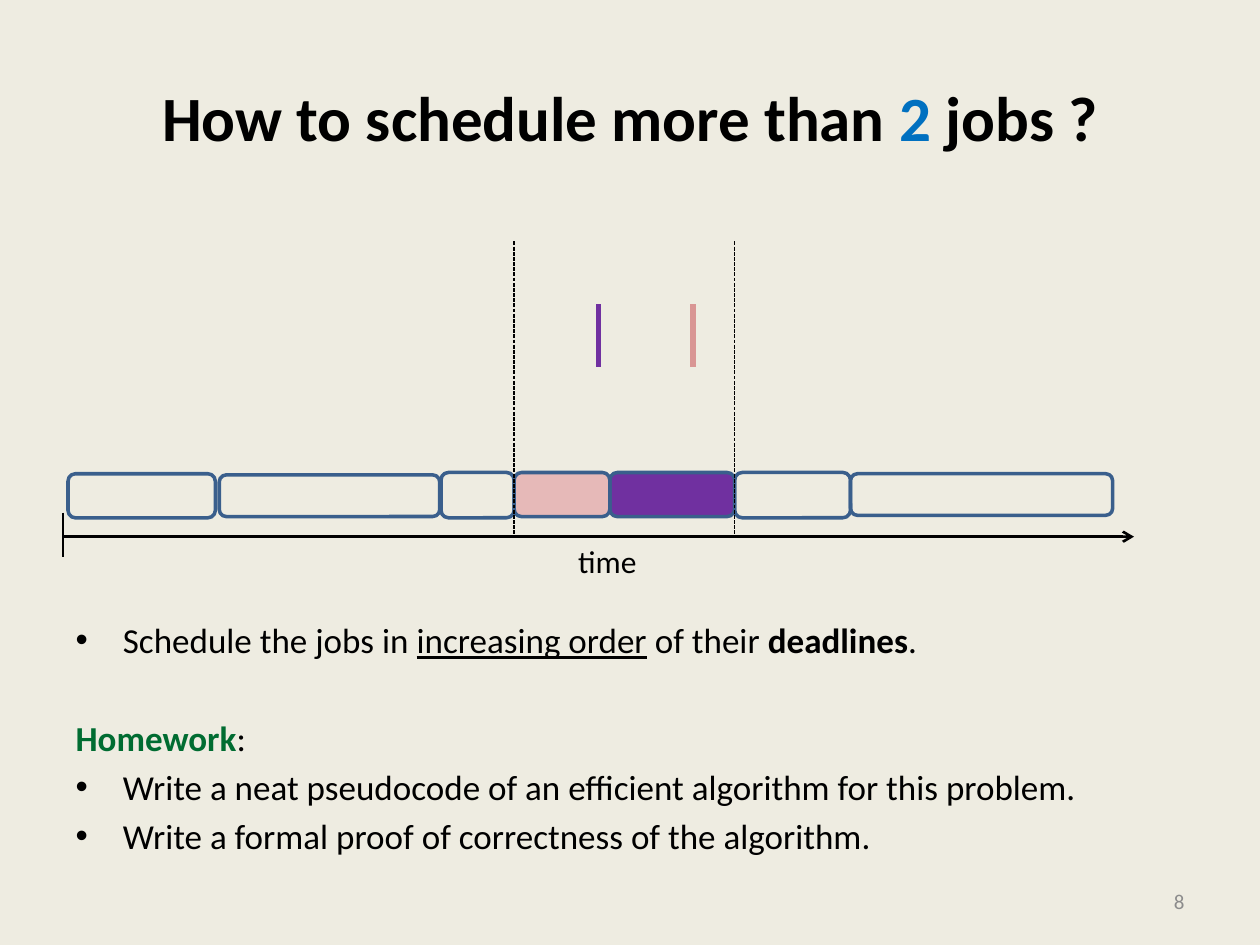
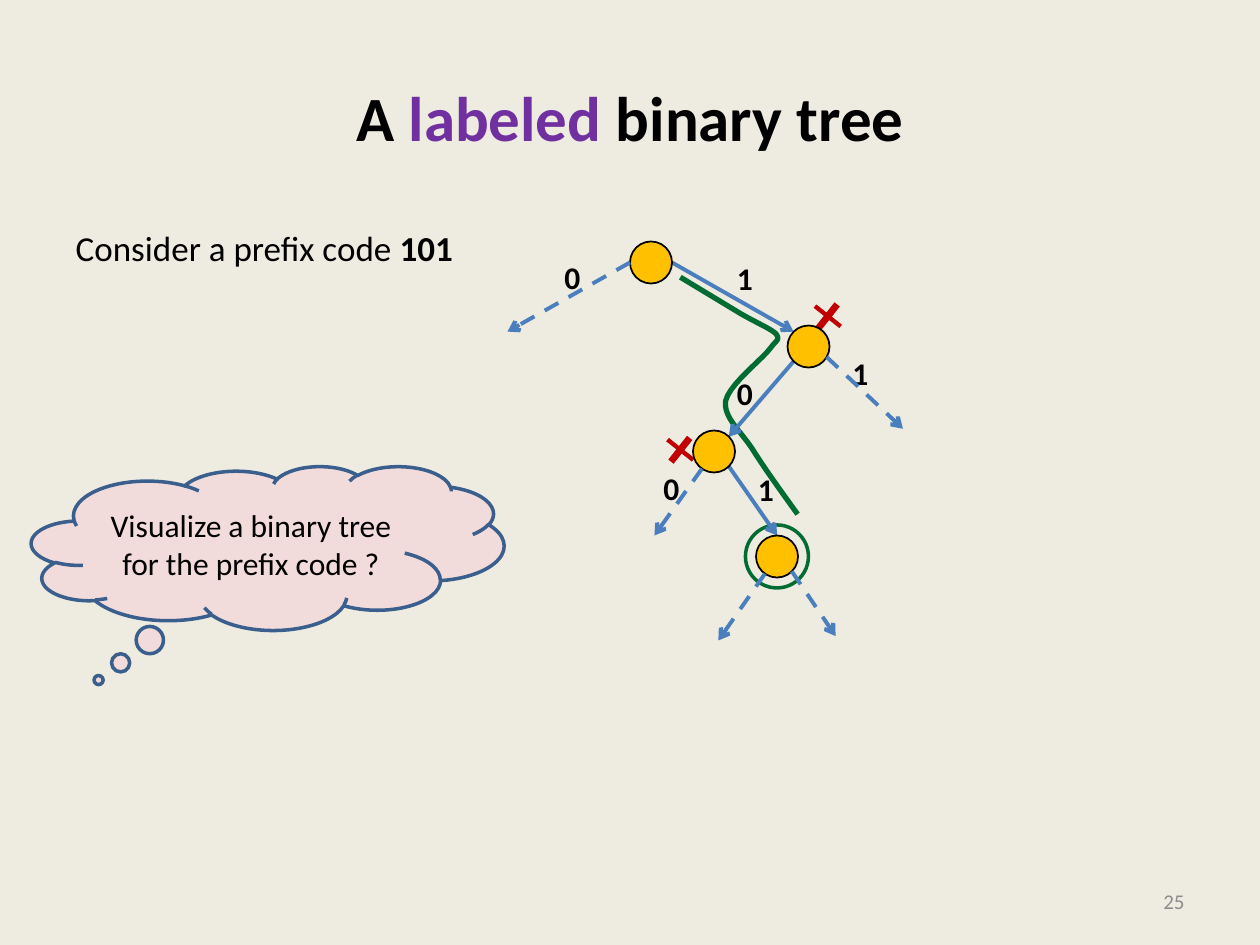
"""Two lecture slides: scheduling jobs on a timeline, and a labeled binary tree."""
import math

from pptx import Presentation
from pptx.dml.color import RGBColor
from pptx.enum import dml, shapes, text
from pptx.oxml.ns import qn
from pptx.util import Pt
from lxml import etree

BACKGROUND = RGBColor(0xEE, 0xEC, 0xE1)
BLACK = RGBColor(0, 0, 0)
GREY = RGBColor(0x8C, 0x8C, 0x8C)
BLUE = RGBColor(0x00, 0x70, 0xC0)
OUTLINE = RGBColor(0x3A, 0x5F, 0x8C)
EDGE = RGBColor(0x4B, 0x7E, 0xBC)
PURPLE = RGBColor(0x70, 0x30, 0xA0)
GREEN = RGBColor(0x00, 0x6C, 0x31)
RED = RGBColor(0xC0, 0, 0)
GOLD = RGBColor(0xFF, 0xC0, 0)
PINK = RGBColor(0xE6, 0xB9, 0xB8)
DARK_PINK = RGBColor(0xD9, 0x96, 0x94)
PALE_PINK = RGBColor(0xF2, 0xDC, 0xDB)
FONT = "Calibri"
DASH = dml.MSO_LINE.DASH
NODE = 24  # diameter of a tree node


def style(r, size, color=BLACK, bold=False, underline=False):
    """Format one run."""
    f = r.font
    f.name, f.size, f.bold, f.underline = FONT, Pt(size), bold, underline
    f.color.rgb = color


def write(p, size, *parts):
    """Fill a paragraph with (text, format) parts."""
    for words, fmt in parts:
        r = p.add_run()
        r.text = words
        style(r, size, **fmt)


def place(sp, x, y, w, h):
    """Move and size a shape."""
    sp.left, sp.top, sp.width, sp.height = Pt(x), Pt(y), Pt(w), Pt(h)


def label(s, x, y, w, h, words, size=18, color=BLACK, bold=False, wrap=False):
    """Add a text box with one line of text and return it."""
    sp = s.shapes.add_textbox(Pt(x), Pt(y), Pt(w), Pt(h))
    tf = sp.text_frame
    tf.word_wrap = wrap
    tf.text = words
    style(tf.paragraphs[0].runs[0], size, color, bold)
    return sp


def paint(sp, fill=None, line=None, width=2):
    """Set a shape's fill and line; None leaves either out."""
    sp.shadow.inherit = False
    if fill is None:
        sp.fill.background()
    else:
        sp.fill.solid()
        sp.fill.fore_color.rgb = fill
    if line is None:
        sp.line.fill.background()
    else:
        sp.line.color.rgb = line
        sp.line.width = Pt(width)


def shape(s, kind, x, y, w, h, fill=None, line=None, width=2):
    """Add a painted preset shape."""
    sp = s.shapes.add_shape(kind, Pt(x), Pt(y), Pt(w), Pt(h))
    paint(sp, fill, line, width)
    return sp


def connect(s, start, end, color, width, dash=None, arrow=False):
    """Draw a straight line, optionally dashed or with an arrowhead."""
    c = s.shapes.add_connector(shapes.MSO_CONNECTOR.STRAIGHT,
                               *(Pt(v) for v in (*start, *end)))
    c.line.color.rgb = color
    c.line.width = Pt(width)
    if dash:
        c.line.dash_style = dash
    sp_pr = c._element.spPr
    if arrow:
        etree.SubElement(sp_pr.find(qn("a:ln")), qn("a:tailEnd"), type="arrow")
    etree.SubElement(sp_pr, qn("a:effectLst"))


def new_slide(prs, number, *title):
    """Add a slide with its title and page number."""
    s = prs.slides.add_slide(prs.slide_layouts[1])
    place(s.shapes.title, 36, 21.6, 648, 90)
    tf = s.shapes.title.text_frame
    tf.auto_size = text.MSO_AUTO_SIZE.NONE
    tf.vertical_anchor = text.MSO_ANCHOR.MIDDLE
    write(tf.paragraphs[0], 36, *title)
    sp = label(s, 516, 500.5, 168, 28.8, str(number), 12, GREY, wrap=True)
    sp.text_frame.vertical_anchor = text.MSO_ANCHOR.MIDDLE
    sp.text_frame.paragraphs[0].alignment = text.PP_ALIGN.RIGHT
    return s


def body(s, box, *paragraphs):
    """Fill the body placeholder with (bulleted, space before, parts) paragraphs."""
    sp = s.placeholders[1]
    place(sp, *box)
    tf = sp.text_frame
    tf.auto_size = text.MSO_AUTO_SIZE.NONE
    for i, (bulleted, before, parts) in enumerate(paragraphs):
        p = tf.add_paragraph() if i else tf.paragraphs[0]
        p.space_before = Pt(before)
        if not bulleted:
            p_pr = p._p.get_or_add_pPr()
            p_pr.set("marL", "0")
            p_pr.set("indent", "0")
            etree.SubElement(p_pr, qn("a:buNone"))
        write(p, 20, *parts)


def timeline(s, x, y, w):
    """Draw the job row, its time axis, the two guides and the two deadlines."""
    jobs = [  # left, top, width, height, fill
        (2.9, 132.7, 84.2, 25.2, None),
        (89.3, 133.4, 126, 23.8, None),
        (216, 132, 41.8, 25.9, None),
        (312.5, 132, 71.3, 25.2, PURPLE),
        (257.8, 132, 54.7, 25.2, PINK),
        (383.8, 132, 66.2, 25.9, None),
        (450, 132.7, 149.8, 23.8, None),
    ]
    for left, top, width, height, fill in jobs:
        shape(s, shapes.MSO_SHAPE.ROUNDED_RECTANGLE,
              x + left, y + top, width, height, fill, OUTLINE)
    axis = y + 168.7
    for guide in (257.8, 383.8):
        connect(s, (x + guide, y), (x + guide, axis), BLACK, 0.75,
                dml.MSO_LINE.SQUARE_DOT)
    connect(s, (x, axis), (x + w, axis), BLACK, 1.5, arrow=True)
    connect(s, (x, y + 155), (x, y + 180.2), BLACK, 1.5)
    label(s, x + 287.3, y + 168, 48.2, 29, "time")
    for deadline, color in ((360, DARK_PINK), (306, PURPLE)):
        connect(s, (x + deadline, y + 36), (x + deadline, y + 72), color, 3)


def bezier(a, b, c, d, steps=10):
    """Return points along a cubic curve, without its start."""
    points = []
    for i in range(1, steps + 1):
        t = i / steps
        weights = ((1 - t) ** 3, 3 * t * (1 - t) ** 2, 3 * t * t * (1 - t), t ** 3)
        points.append(tuple(sum(k * q[n] for k, q in zip(weights, (a, b, c, d)))
                            for n in (0, 1)))
    return points


def code_path(s, x, y):
    """Draw the green curve that follows the code down the tree."""
    points = [(100.8, 20.4), (135.4, 41.3)]
    curves = [
        ((144, 46.3), (152.6, 49.9), (155.5, 52.8)),
        ((157.7, 56.4), (156.2, 55.7), (151.9, 61.4)),
        ((146.9, 67.9), (128.9, 81.6), (126.7, 91)),
        ((125.3, 100.3), (134.6, 107.5), (141.8, 118.3)),
        ((148.3, 129.1), (167.8, 155.8), (167.8, 155.8)),
    ]
    for curve in curves:
        points += bezier(points[-1], *curve)
    points = [(Pt(x + px), Pt(y + py)) for px, py in points]
    fb = s.shapes.build_freeform(*points[0])
    fb.add_line_segments(points[1:], close=False)
    paint(fb.convert_to_shape(), line=GREEN, width=3)


def tree(s, x, y):
    """Draw the labeled tree with its code path, crosses and ringed leaf."""
    nodes = {"leaf": (144, 168), "inner": (108, 108),
             "right": (162, 48), "root": (72, 0)}

    def rim(name, angle):
        """Return the point on a node's rim, clockwise from the right."""
        a, radius = math.radians(angle), NODE / 2
        left, top = nodes[name]
        return (x + left + radius * (1 + math.cos(a)),
                y + top + radius * (1 + math.sin(a)))

    code_path(s, x, y)
    left, top = nodes["leaf"]
    shape(s, shapes.MSO_SHAPE.OVAL, x + left - 6, y + top - 6,
          NODE + 12, NODE + 12, line=GREEN)
    for left, top in ((91.4, 110.4), (175.7, 34.1)):
        cross = shape(s, shapes.MSO_SHAPE.CROSS, x + left, y + top, 18.7, 17.3, RED)
        cross.adjustments[0] = 0.428
        cross.rotation = 38.3
    for left, top, bit in ((27.4, 6, "0"), (126, 6.7, "1"), (126, 72.2, "0"),
                           (84, 126.2, "0"), (192, 60.7, "1"), (138, 127, "1")):
        label(s, x + left, y + top, 23.8, 29, bit, bold=True)

    for start, end in ((("root", 0), ("right", 225)),
                       (("right", 135), ("inner", 315)),
                       (("inner", 45), ("leaf", 270))):
        connect(s, rim(*start), rim(*end), EDGE, 2.25, arrow=True)
    for name, (left, top) in nodes.items():
        shape(s, shapes.MSO_SHAPE.OVAL, x + left, y + top, NODE, NODE, GOLD, BLACK, 1)
    for name, angle, (ex, ey) in (("root", 180, (2, 51.5)),
                                  ("inner", 125, (86, 168)),
                                  ("right", 30, (228, 107)),
                                  ("leaf", 45, (189.5, 225.5)),
                                  ("leaf", 125, (122.5, 228))):
        connect(s, rim(name, angle), (x + ex, y + ey), EDGE, 2.25, DASH, True)


def thought(s, x, y, w, h, words):
    """Add a thought cloud."""
    sp = shape(s, shapes.MSO_SHAPE.CLOUD_CALLOUT, x, y, w, h, PALE_PINK, OUTLINE)
    sp.adjustments[0], sp.adjustments[1] = -0.358, 0.806
    tf = sp.text_frame
    tf.word_wrap = True
    tf.vertical_anchor = text.MSO_ANCHOR.MIDDLE
    tf.text = words
    p = tf.paragraphs[0]
    p.alignment = text.PP_ALIGN.CENTER
    style(p.runs[0], 18)


def scheduling_slide(prs):
    """Build the slide on scheduling several jobs."""
    s = new_slide(prs, 8, ("How to schedule more than ", {"bold": True}),
                  ("2", {"bold": True, "color": BLUE}),
                  (" jobs ?", {"bold": True}))
    body(s, (36, 350, 648, 146),
         (True, 4, [("Schedule the jobs in ", {}),
                    ("increasing order", {"underline": True}),
                    (" of their ", {}), ("deadlines", {"bold": True}), (".", {})]),
         (False, 32, [("Homework", {"bold": True, "color": GREEN}), (": ", {})]),
         (True, 4, [("Write a neat pseudocode of an efficient algorithm "
                     "for this problem.", {})]),
         (True, 4, [("Write a formal proof of correctness of the algorithm.", {})]))
    timeline(s, 36, 138, 612)


def tree_slide(prs):
    """Build the slide on the labeled binary tree."""
    s = new_slide(prs, 25, ("A ", {"bold": True}),
                  ("labeled", {"bold": True, "color": PURPLE}),
                  (" binary tree", {"bold": True}))
    body(s, (36, 126, 648, 356.4),
         (False, 4, [("Consider a prefix code ", {}), ("101", {"bold": True})]))
    tree(s, 288, 138)
    thought(s, 18, 266.4, 270, 93.6, "Visualize a binary tree for the prefix code ?")


prs = Presentation()
prs.slide_width, prs.slide_height = Pt(720), Pt(540)
background = prs.slide_master.background.fill
background.solid()
background.fore_color.rgb = BACKGROUND
scheduling_slide(prs)
tree_slide(prs)
prs.save("out.pptx")
